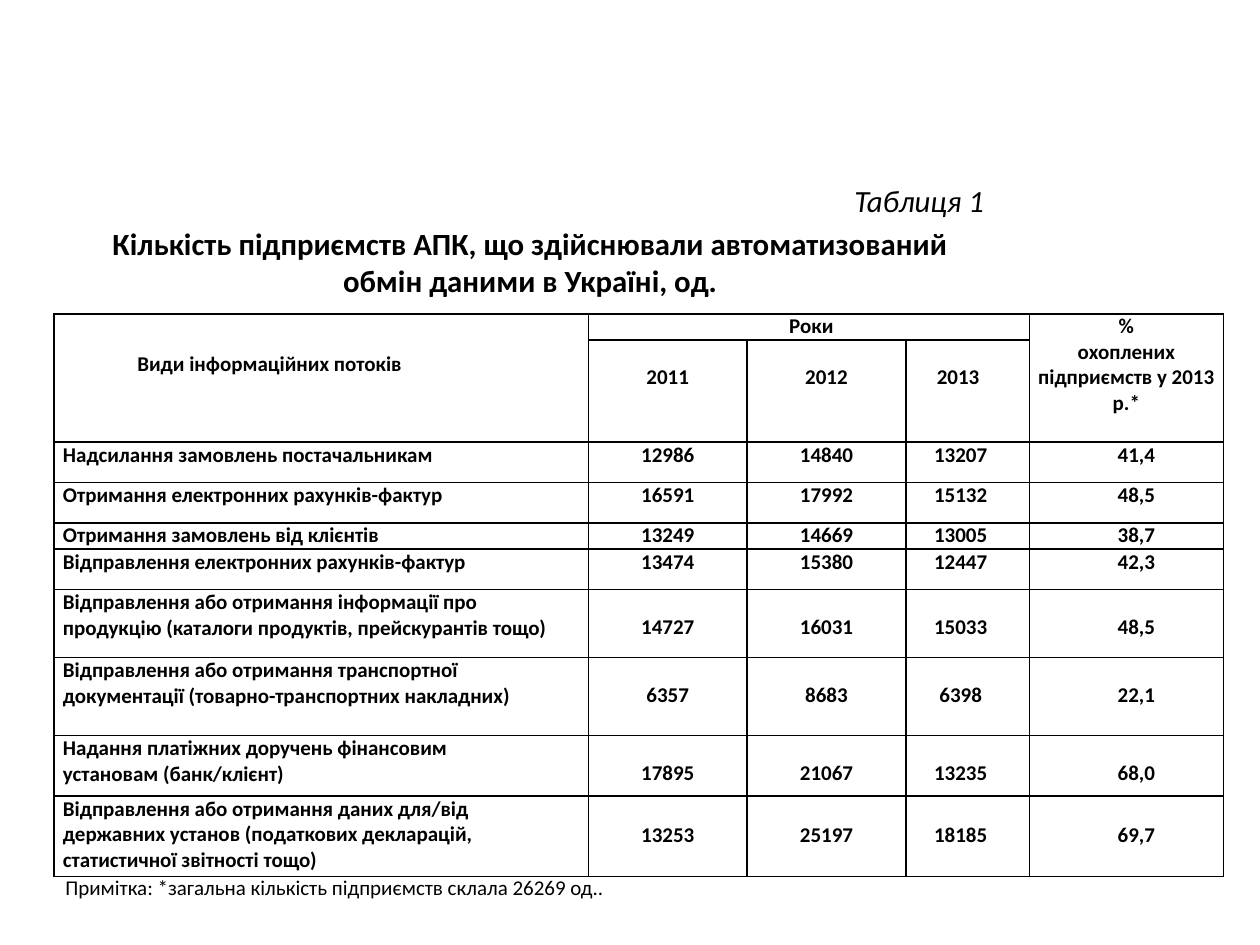
from lxml import etree
from pptx import Presentation
from pptx.dml.color import RGBColor
from pptx.enum import text
from pptx.oxml import ns
from pptx.util import Inches, Pt

BLACK = RGBColor(0, 0, 0)
WHITE = RGBColor(255, 255, 255)
LEFT, CENTER, RIGHT = (text.PP_ALIGN.LEFT, text.PP_ALIGN.CENTER,
                       text.PP_ALIGN.RIGHT)


def write(frame, *lines, size=12, bold=False, italic=False, align=LEFT, before=0):
    """Append lines to a text frame, one paragraph each."""
    for line in lines:
        paragraph = frame.paragraphs[0] if not frame.text else frame.add_paragraph()
        paragraph.alignment = align
        paragraph.space_before = Pt(before)
        run = paragraph.add_run()
        run.text = line
        run.font.name = "Calibri"
        run.font.size = Pt(size)
        run.font.bold = bold
        run.font.italic = italic
        run.font.color.rgb = BLACK
    frame.word_wrap = True


def set_margins(cell, left=0, top=0, right=0):
    cell.margin_left, cell.margin_top = Inches(left), Inches(top)
    cell.margin_right, cell.margin_bottom = Inches(right), 0


presentation = Presentation()
presentation.slide_width, presentation.slide_height = Inches(10), Inches(7.5)
slide = presentation.slides.add_slide(presentation.slide_layouts[6])

# Table number and title
title = slide.shapes.add_textbox(Inches(0.51), Inches(1.39), Inches(7.4), Inches(0.9))
write(title.text_frame, "Таблиця 1", size=17.6, italic=True, align=RIGHT)
write(title.text_frame,
      "Кількість підприємств АПК, що здійснювали автоматизований обмін даними в Україні, од.",
      size=17.6, bold=True, align=CENTER, before=3.5)

# Table grid
column_widths = [4.24, 1.26, 1.26, 0.98, 1.54]
row_heights = [0.21, 0.81, 0.32, 0.32, 0.21, 0.32, 0.54, 0.62, 0.48, 0.64]
table = slide.shapes.add_table(
    len(row_heights), len(column_widths), Inches(0.43), Inches(2.49),
    Inches(sum(column_widths)), Inches(sum(row_heights))).table
table.first_row = table.horz_banding = False
for column, width in zip(table.columns, column_widths):
    column.width = Inches(width)
for row, height in zip(table.rows, row_heights):
    row.height = Inches(height)

# White cells with black borders
for cell in table.iter_cells():
    set_margins(cell)
    cell.fill.solid()
    cell.fill.fore_color.rgb = WHITE
    properties = cell._tc.get_or_add_tcPr()
    for position, side in enumerate(("lnL", "lnR", "lnT", "lnB")):
        line = etree.Element(ns.qn(f"a:{side}"), w=str(Pt(1)))
        fill = etree.SubElement(line, ns.qn("a:solidFill"))
        etree.SubElement(fill, ns.qn("a:srgbClr"), val=str(BLACK))
        properties.insert(position, line)

# Header: row, column, last row, last column, lines, alignment, margins
headers = [
    (0, 0, 1, 0, ["Види інформаційних потоків"], LEFT, (0.66, 0.3)),
    (0, 1, 0, 3, ["Роки"], CENTER, (0.04,)),
    (0, 4, 1, 4, ["%", "охоплених підприємств у 2013 р.*"], CENTER, (0.07, 0, 0.07)),
    (1, 1, 1, 1, ["2011"], CENTER, (0, 0.19)),
    (1, 2, 1, 2, ["2012"], CENTER, (0, 0.19)),
    (1, 3, 1, 3, ["2013"], CENTER, (0, 0.19, 0.15)),
]
for row, column, last_row, last_column, lines, align, margins in headers:
    cell = table.cell(row, column)
    if (row, column) != (last_row, last_column):
        cell.merge(table.cell(last_row, last_column))
    set_margins(cell, *margins)
    write(cell.text_frame, *lines, bold=True, align=align)

# Body: label, its right margin, top margin of the numbers, numbers
flows = [
    ("Надсилання замовлень постачальникам", 0.5, 0,
     ["12986", "14840", "13207", "41,4"]),
    ("Отримання електронних рахунків-фактур", 0.5, 0,
     ["16591", "17992", "15132", "48,5"]),
    ("Отримання замовлень від клієнтів", 0.5, 0,
     ["13249", "14669", "13005", "38,7"]),
    ("Відправлення електронних рахунків-фактур", 0.5, 0,
     ["13474", "15380", "12447", "42,3"]),
    ("Відправлення або отримання інформації про продукцію "
     "(каталоги продуктів, прейскурантів тощо)", 0.3, 0.2,
     ["14727", "16031", "15033", "48,5"]),
    ("Відправлення або отримання транспортної документації "
     "(товарно-транспортних накладних)", 0.5, 0.2,
     ["6357", "8683", "6398", "22,1"]),
    ("Надання платіжних доручень фінансовим установам (банк/клієнт)", 0.5, 0.2,
     ["17895", "21067", "13235", "68,0"]),
    ("Відправлення або отримання даних для/від державних установ "
     "(податкових декларацій, статистичної звітності тощо)", 0.5, 0.21,
     ["13253", "25197", "18185", "69,7"]),
]
number_sides = [(0, 0), (0, 0), (0, 0.11), (0.16, 0)]
for row, (label, label_right, top, numbers) in enumerate(flows, start=2):
    cell = table.cell(row, 0)
    set_margins(cell, left=0.07, right=label_right)
    write(cell.text_frame, label, bold=True)
    for column, (number, (left, right)) in enumerate(zip(numbers, number_sides), start=1):
        cell = table.cell(row, column)
        set_margins(cell, left, top, right)
        write(cell.text_frame, number, bold=True, align=CENTER)

# Footnote
note = slide.shapes.add_textbox(Inches(0.42), Inches(6.89), Inches(6.38), Inches(0.61))
write(note.text_frame, "Примітка: *загальна кількість підприємств склала 26269 од..")

presentation.save("out.pptx")
